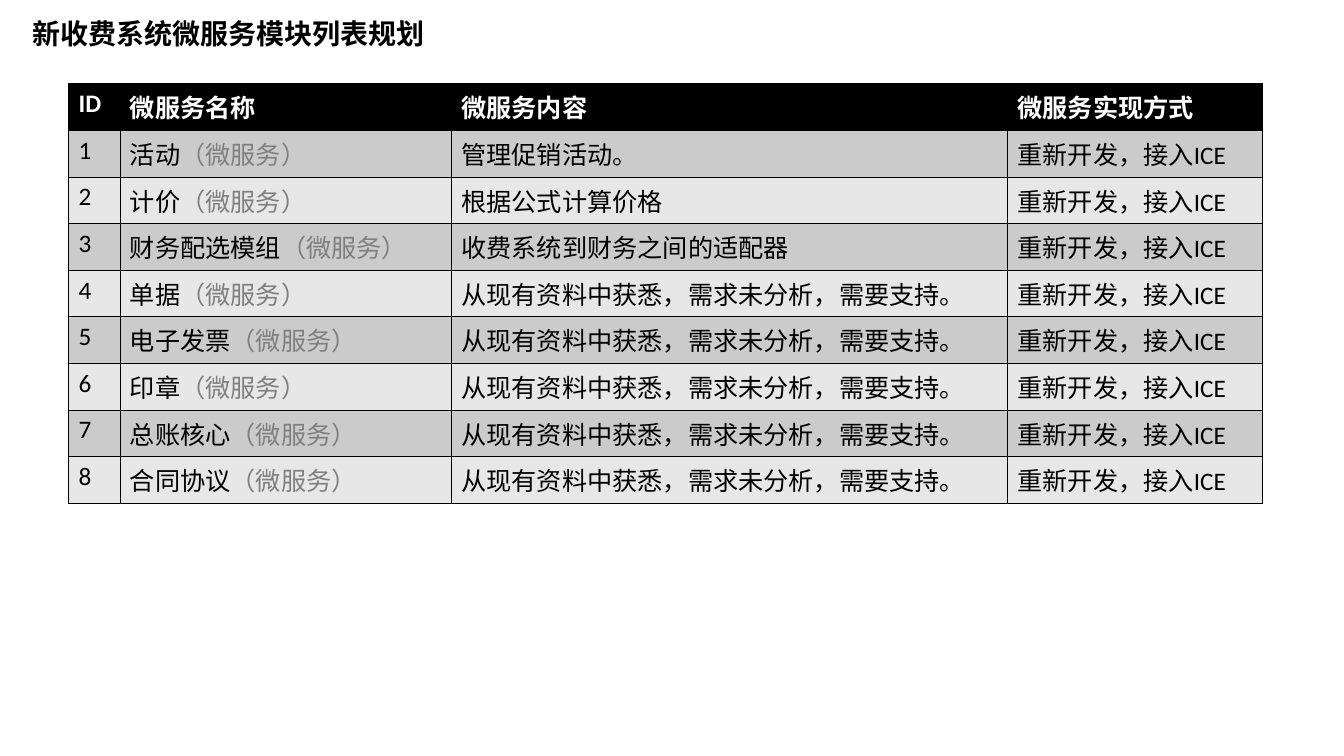
"""Build the slide that lists the planned microservices of the new billing system."""
from dataclasses import dataclass

from lxml import etree
from pptx import Presentation
from pptx import util as u
from pptx.dml import color
from pptx.enum import text
from pptx.oxml import ns

BLACK, WHITE, GREY = "000000", "FFFFFF", "7F7F7F"
BANDS = ("CBCBCB", "E7E7E7")
HEADS = ("ID", "微服务名称", "微服务内容", "微服务实现方式")
WIDTHS = (0.51, 3.29, 5.52, 2.53)
HEIGHT = 0.4
TAG = "（微服务）"
MODE = "重新开发，接入ICE"
OPEN = "从现有资料中获悉，需求未分析，需要支持。"


@dataclass(frozen=True)
class Run:
    """A piece of text with its look."""
    words: str
    tint: str = BLACK
    bold: bool = False
    size: int = 18


@dataclass(frozen=True)
class Service:
    """A planned microservice."""
    name: str
    task: str = OPEN


SERVICES = (
    Service("活动", "管理促销活动。"),
    Service("计价", "根据公式计算价格"),
    Service("财务配选模组", "收费系统到财务之间的适配器"),
    Service("单据"),
    Service("电子发票"),
    Service("印章"),
    Service("总账核心"),
    Service("合同协议"),
)


def rgb(tint: str) -> color.RGBColor:
    """Turn a hex string into a colour."""
    return color.RGBColor.from_string(tint)


def write(frame, runs: list[Run]) -> None:
    """Put styled runs into the first paragraph of a frame."""
    for item in runs:
        run = frame.paragraphs[0].add_run()
        run.text = item.words
        look = {"name": "Calibri", "size": u.Pt(item.size), "bold": item.bold}
        for key, value in look.items():
            setattr(run.font, key, value)
        run.font.color.rgb = rgb(item.tint)


def edge(cell) -> None:
    """Draw a thin black line on every side of a cell."""
    props = cell._tc.get_or_add_tcPr()
    for spot, side in enumerate("LRTB"):
        line = etree.Element(ns.qn(f"a:ln{side}"), w=str(u.Pt(0.45)))
        fill = etree.SubElement(line, ns.qn("a:solidFill"))
        etree.SubElement(fill, ns.qn("a:srgbClr"), val=BLACK)
        props.insert(spot, line)


def add_title(slide) -> None:
    """Add the slide heading."""
    box = slide.shapes.add_textbox(*map(u.Inches, (0.22, 0.11, 4.23, 0.44)))
    look = {"word_wrap": False, "auto_size": text.MSO_AUTO_SIZE.SHAPE_TO_FIT_TEXT}
    for key, value in look.items():
        setattr(box.text_frame, key, value)
    write(box.text_frame, [Run("新收费系统微服务模块列表规划", bold=True, size=20)])


def add_list(slide) -> None:
    """Add the table of services."""
    rows = [[[Run(head, WHITE, True)] for head in HEADS]]
    for num, item in enumerate(SERVICES, 1):
        name = [Run(item.name), Run(TAG, GREY)]
        rows.append([[Run(str(num))], name, [Run(item.task)], [Run(MODE)]])
    area = (0.68, 0.83, sum(WIDTHS), HEIGHT * len(rows))
    table = slide.shapes.add_table(len(rows), len(WIDTHS), *map(u.Inches, area)).table
    for col, width in zip(table.columns, WIDTHS):
        col.width = u.Inches(width)
    for r, row in enumerate(rows):
        table.rows[r].height = u.Inches(HEIGHT)
        for c, runs in enumerate(row):
            cell = table.cell(r, c)
            cell.fill.solid()
            cell.fill.fore_color.rgb = rgb(BANDS[(r - 1) % 2] if r else BLACK)
            edge(cell)
            write(cell.text_frame, runs)


def main() -> None:
    """Build and save the deck."""
    deck = Presentation()
    deck.slide_width, deck.slide_height = u.Inches(13.34), u.Inches(7.5)
    slide = deck.slides.add_slide(deck.slide_layouts[6])
    add_list(slide)
    add_title(slide)
    deck.save("out.pptx")


if __name__ == "__main__":
    main()
